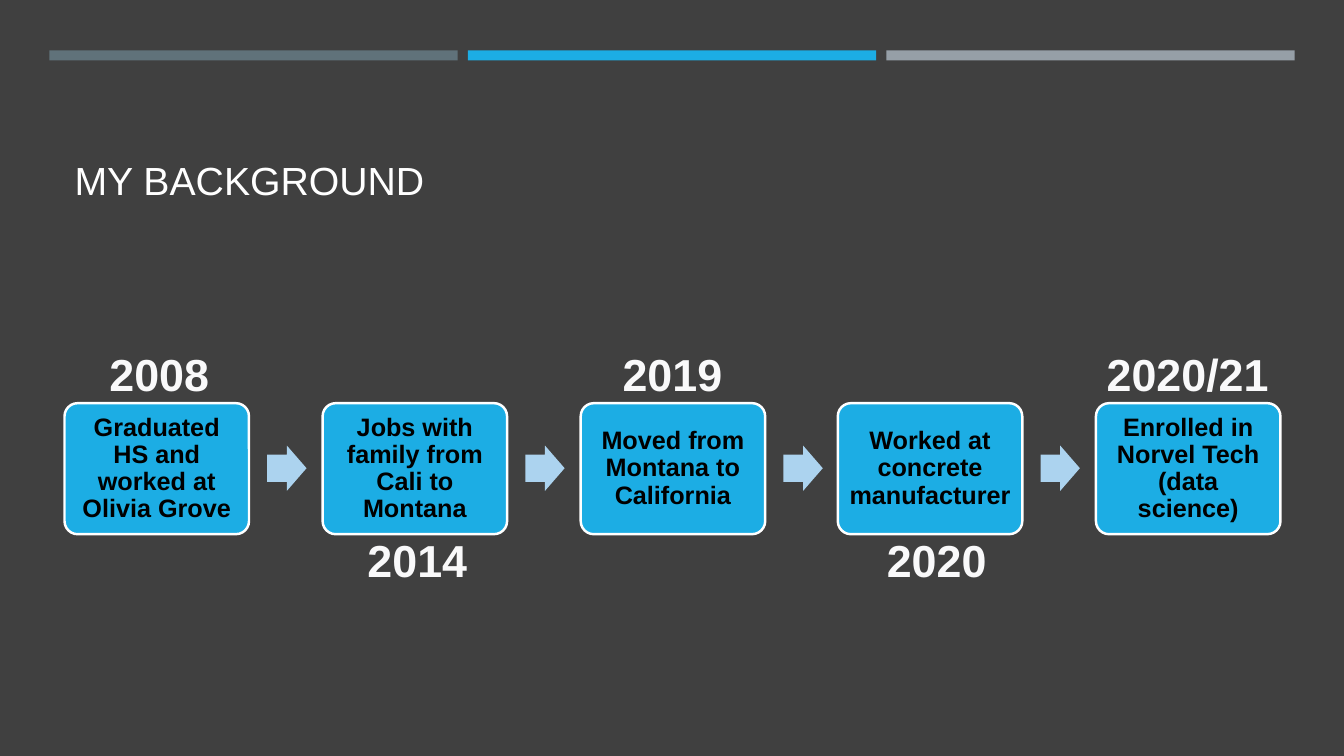
import pptx
import pptx.util
import pptx.dml.color
import pptx.enum.shapes
import pptx.enum.text

RGB = pptx.dml.color.RGBColor
SHAPE = pptx.enum.shapes.MSO_SHAPE
ANCHOR = pptx.enum.text.MSO_ANCHOR
ALIGN = pptx.enum.text.PP_ALIGN

DARK = RGB(0x40, 0x40, 0x40)
WHITE = RGB(0xFF, 0xFF, 0xFF)
BLACK = RGB(0x00, 0x00, 0x00)
PALE = RGB(0xF9, 0xF9, 0xFA)
SLATE = RGB(0x60, 0x72, 0x7A)
BLUE = RGB(0x1C, 0xAD, 0xE4)
GRAY = RGB(0x96, 0x9F, 0xA7)
LIGHT = RGB(0xAC, 0xD3, 0xEF)

SCALE = 9144  # EMU per px, 100 px to the inch

TITLE = {"name": "Arial", "size": pptx.util.Pt(28), "bold": False}
STEP = {"name": "Arial", "size": pptx.util.Pt(18), "bold": True}
DATE = {"name": "Arial", "size": pptx.util.Pt(32), "bold": True}

# Step text, then date text with its left, top and width
STEPS = [
    ("Graduated HS and worked at Olivia Grove", "2008", 98, 339, 120),
    ("Jobs with family from Cali to Montana", "2014", 337, 524, 154),
    ("Moved from Montana to California", "2019", 607, 339, 120),
    ("Worked at concrete manufacturer", "2020", 869, 524, 120),
    ("Enrolled in Norvel Tech (data science)", "2020/21", 1087, 339, 182),
]


def px(*sizes):
    return [pptx.util.Emu(size * SCALE) for size in sizes]


def write(frame, text, style, color, align):
    frame.text = text
    para = frame.paragraphs[0]
    para.alignment = align
    font = para.runs[0].font
    for key, value in style.items():
        setattr(font, key, value)
    font.color.rgb = color
    return para


def add_title(slide, text):
    title = slide.shapes.title
    title.left, title.top, title.width, title.height = px(64, 77, 1206, 130)
    frame = title.text_frame
    frame.vertical_anchor = ANCHOR.BOTTOM
    write(frame, text, TITLE, WHITE, ALIGN.LEFT)


def add_block(slide, kind, box, color):
    """Add a flat preset shape without outline."""
    block = slide.shapes.add_shape(kind, *px(*box))
    block.shadow.inherit = False
    block.fill.solid()
    block.fill.fore_color.rgb = color
    block.line.fill.background()
    return block


def add_step(slide, left, text):
    card = add_block(slide, SHAPE.ROUNDED_RECTANGLE, (left, 400, 183, 130), BLUE)
    card.adjustments[0] = 0.1
    card.line.color.rgb = WHITE
    card.line.width = pptx.util.Pt(1.75)
    frame = card.text_frame
    frame.word_wrap = True
    frame.vertical_anchor = ANCHOR.MIDDLE
    for side in ("left", "top", "right", "bottom"):
        setattr(frame, "margin_" + side, px(7)[0])
    write(frame, text, STEP, BLACK, ALIGN.CENTER).line_spacing = 0.9


def add_arrow(slide, left):
    arrow = add_block(slide, SHAPE.RIGHT_ARROW, (left, 442, 39, 45), LIGHT)
    arrow.adjustments[0] = 0.6
    arrow.adjustments[1] = 0.5


def add_date(slide, left, top, width, text):
    label = slide.shapes.add_textbox(*px(left, top, width, 64))
    label.text_frame.word_wrap = False
    write(label.text_frame, text, DATE, PALE, ALIGN.CENTER)


def main():
    deck = pptx.Presentation()
    deck.slide_width, deck.slide_height = px(1333, 750)
    slide = deck.slides.add_slide(deck.slide_layouts[5])
    slide.background.fill.solid()
    slide.background.fill.fore_color.rgb = DARK

    add_title(slide, "MY BACKGROUND")
    for i, color in enumerate((SLATE, BLUE, GRAY)):
        add_block(slide, SHAPE.RECTANGLE, (49 + 415 * i, 50, 405, 10), color)

    for i, (text, date, x, y, width) in enumerate(STEPS):
        left = 64 + round(1023 * i / 4)
        add_step(slide, left, text)
        if i < len(STEPS) - 1:
            add_arrow(slide, left + 201)
        add_date(slide, x, y, width, date)

    deck.save("out.pptx")


if __name__ == "__main__":
    main()
